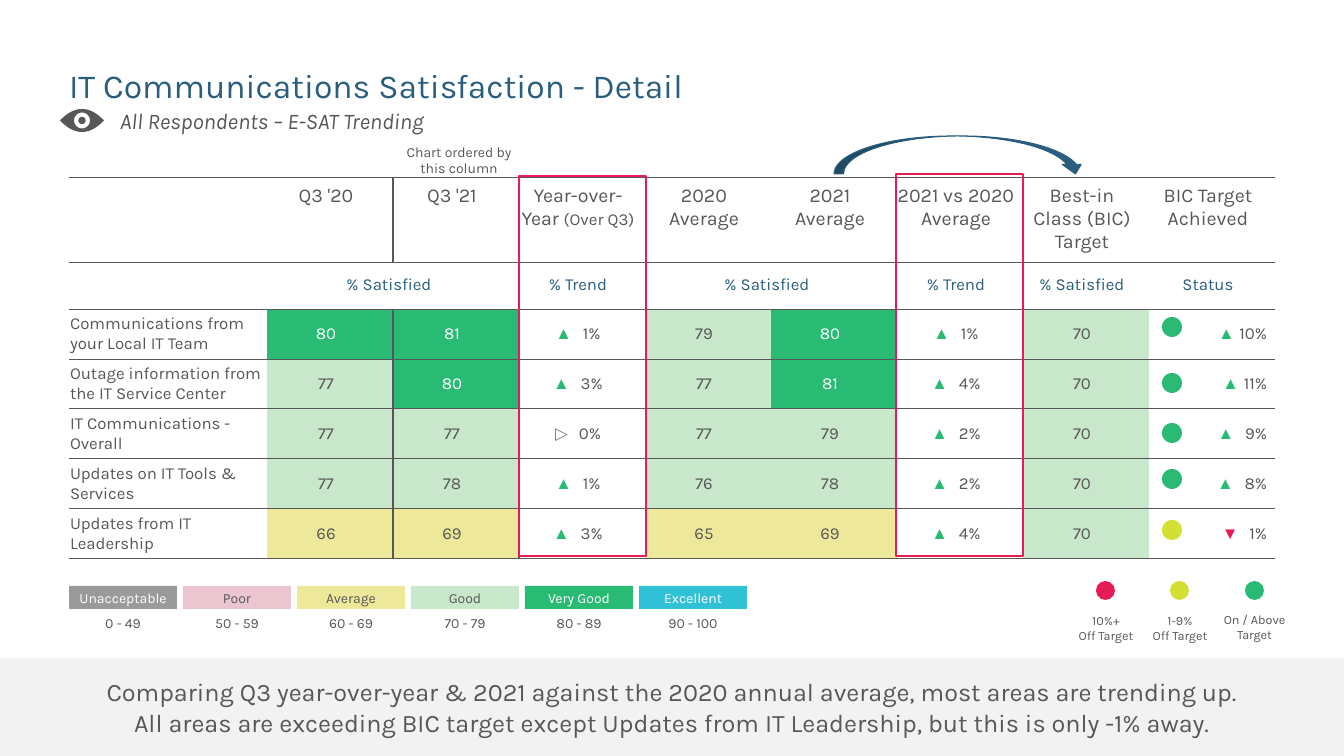
from math import cos, pi, sin

from lxml import etree
from pptx import Presentation
from pptx.dml.color import RGBColor
from pptx.enum.shapes import MSO_SHAPE as SHAPE
from pptx.enum.text import MSO_ANCHOR as ANCHOR, PP_ALIGN as ALIGN
from pptx.oxml import parse_xml
from pptx.oxml.ns import nsdecls
from pptx.util import Emu, Pt

PX = 914400 / 100.8
GREY, BLUE, WHITE = "575757", "295E7E", "FFFFFF"
GREEN, PALE_GREEN, SAND, LIME, RED = "29BA74", "C9E7CA", "EEE89A", "D4DF33", "E71C57"
MARKS = {"▲": GREEN, "▼": RED, "▷": "797979"}
NO_GRID_STYLE = "{2D5ABB26-0587-4C30-8999-92F81FD0307C}"

prs = Presentation()
prs.slide_width, prs.slide_height = Emu(round(1344 * PX)), Emu(round(756 * PX))
slide = prs.slides.add_slide(prs.slide_layouts[5])
shapes = slide.shapes


def write(frame, lines, size, color=GREY, align=ALIGN.CENTER):
    """Fill a text frame; each line is a list of run texts."""
    frame.word_wrap = True
    for number, texts in enumerate(lines):
        paragraph = frame.add_paragraph() if number else frame.paragraphs[0]
        paragraph.alignment = align
        for text in texts:
            run = paragraph.add_run()
            run.text = text
            mark = MARKS.get(text[0])
            run.font.size = Pt(size)
            run.font.name = "Arial" if mark else "Karla"
            run.font.color.rgb = RGBColor.from_string(mark or color)
            # Widen the gap after a mark so one-digit figures line up
            if mark and len(texts[-1]) == 2:
                run.font._element.set("spc", "220")


def draw(kind, box, fill=None, line=None, weight=0.75):
    shape = shapes.add_shape(kind, *[Emu(round(v * PX)) for v in box])
    shape.shadow.inherit = False
    if fill:
        shape.fill.solid()
        shape.fill.fore_color.rgb = RGBColor.from_string(fill)
    else:
        shape.fill.background()
    if line:
        shape.line.color.rgb = RGBColor.from_string(line)
        shape.line.width = Pt(weight)
    else:
        shape.line.fill.background()
    return shape


# Title
title = shapes.title
title.left, title.top, title.width, title.height = [
    Emu(round(v * PX)) for v in (69, 69, 1206, 36)]
heading = title.text_frame
heading.margin_left = heading.margin_top = heading.margin_right = heading.margin_bottom = 0
heading.vertical_anchor = ANCHOR.TOP
write(heading, [["IT Communications Satisfaction - Detail"]], 24, BLUE, ALIGN.LEFT)
heading.paragraphs[0].line_spacing = 0.9

# Satisfaction bands: name, fill, text colour, lowest and highest score
bands = [
    ("Unacceptable", "9A9A9A", WHITE, 0, 49),
    ("Poor", "EBC5D0", GREY, 50, 59),
    ("Average", SAND, GREY, 60, 69),
    ("Good", PALE_GREEN, GREY, 70, 79),
    ("Very Good", GREEN, WHITE, 80, 89),
    ("Excellent", "30C1D7", WHITE, 90, 100),
]

# Table content
headers = [
    [], [["Q3 '20"]], [["Q3 '21"]], [["Year-over-Year ", "(Over Q3)"]],
    [["2020"], ["Average"]], [["2021"], ["Average"]], [["2021 vs 2020 Average"]],
    [["Best-in Class (BIC) Target"]], [["BIC Target"], ["Achieved"]],
]
units = ["", "% Satisfied", "", "% Trend", "% Satisfied", "", "% Trend", "% Satisfied", "Status"]
ratings = [
    ("Communications from your Local IT Team", 80, 81, "▲ 1%", 79, 80, "▲ 1%", 70, "▲ 10%"),
    ("Outage information from the IT Service Center", 77, 80, "▲ 3%", 77, 81, "▲ 4%", 70, "▲ 11%"),
    ("IT Communications - Overall", 77, 77, "▷ 0%", 77, 79, "▲ 2%", 70, "▲ 9%"),
    ("Updates on IT Tools & Services", 77, 78, "▲ 1%", 76, 78, "▲ 2%", 70, "▲ 8%"),
    ("Updates from IT Leadership", 66, 69, "▲ 3%", 65, 69, "▲ 4%", 70, "▼ 1%"),
]
column_widths = [198] + [126] * 8
row_heights = [85, 44] + [50] * 5

# Table
table = shapes.add_table(7, 9, *[Emu(round(v * PX)) for v in (69, 177, 1206, 379)]).table
table.first_row = table.horz_banding = False
table._tbl.tblPr.find("{*}tableStyleId").text = NO_GRID_STYLE
for column, width in zip(table.columns, column_widths):
    column.width = Emu(round(width * PX))
for row, height in zip(table.rows, row_heights):
    row.height = Emu(round(height * PX))
for first in (1, 4):
    table.cell(1, first).merge(table.cell(1, first + 1))

for r in range(7):
    for c in range(9):
        cell = table.cell(r, c)
        cell.fill.background()
        cell.vertical_anchor = ANCHOR.MIDDLE if r else ANCHOR.TOP
        is_label = r > 1 and c == 0
        insets = (1, 1, 1, 0) if is_label else (0, 8, 8, 8)
        cell.margin_left, cell.margin_top, cell.margin_right, cell.margin_bottom = [
            Emu(round(v * PX)) for v in insets]
        if r == 0:
            write(cell.text_frame, headers[c], 14)
        elif r == 1:
            if units[c]:
                write(cell.text_frame, [[units[c]]], 12, BLUE)
        elif is_label:
            write(cell.text_frame, [[ratings[r - 2][c]]], 12, align=ALIGN.LEFT)
        elif isinstance(ratings[r - 2][c], int):
            score = ratings[r - 2][c]
            _, fill, color, _, _ = next(b for b in bands if b[3] <= score <= b[4])
            cell.fill.solid()
            cell.fill.fore_color.rgb = RGBColor.from_string(fill)
            write(cell.text_frame, [[str(score)]], 12, color)
        else:
            mark, change = ratings[r - 2][c].split()
            write(cell.text_frame, [[mark + " ", change]], 12,
                  align=ALIGN.RIGHT if c == 8 else ALIGN.CENTER)

        # Thin rules between rows, upright rules around the Q3 '21 column
        edges = {"L": r != 1 and c in (2, 3), "R": r != 1 and c in (1, 2), "T": True, "B": True}
        for position, (side, visible) in enumerate(edges.items()):
            weight = 12700 if side in "LR" else 3175
            paint = f'<a:solidFill><a:srgbClr val="{GREY}"/></a:solidFill>' if visible else "<a:noFill/>"
            cell._tc.get_or_add_tcPr().insert(position, parse_xml(
                f'<a:ln{side} {nsdecls("a")} w="{weight}">{paint}</a:ln{side}>'))
table.cell(0, 3).text_frame.paragraphs[0].runs[1].font.size = Pt(12)

# Takeaway band
takeaway = draw(SHAPE.RECTANGLE, (0, 658, 1344, 98), "F2F2F2").text_frame
takeaway.vertical_anchor = ANCHOR.MIDDLE
write(takeaway, [
    ["Comparing Q3 year-over-year & 2021 against the 2020 annual average, most areas are trending up."],
    ["All areas are exceeding BIC target except Updates from IT Leadership, but this is only -1% away."],
], 18)

# Band legend swatches; their ranges join the captions below
captions = []
for i, (name, fill, color, low, high) in enumerate(bands):
    left = 69 + 114 * i
    swatch = draw(SHAPE.RECTANGLE, (left, 586, 108, 23), fill).text_frame
    swatch.margin_left = swatch.margin_right = swatch.margin_top = swatch.margin_bottom = 0
    swatch.vertical_anchor = ANCHOR.MIDDLE
    write(swatch, [[name]], 10, color)
    captions.append(((left, 611, 108, 23), [[f"{low} - {high}"]], 10, ANCHOR.MIDDLE))

# Frames around the trend columns, and the arrow from 2021 to its target
for left, top, height in ((519, 176, 380), (896, 174, 382)):
    draw(SHAPE.RECTANGLE, (left, top, 127, height), line=RED, weight=1.5)
draw(SHAPE.CURVED_DOWN_ARROW, (834, 136, 251, 38), BLUE, BLUE)

# Status dots, then the target legend dots
for top, color in ((317, GREEN), (373, GREEN), (423, GREEN), (469, GREEN), (520, LIME)):
    draw(SHAPE.OVAL, (1162, top, 20, 20), color)
for left, color in ((1096, RED), (1170, LIME), (1245, GREEN)):
    draw(SHAPE.OVAL, (left, 581, 19, 19), color)

# Captions
captions += [
    ((395, 146, 128, 28), [["Chart ordered by this column"]], 10, ANCHOR.MIDDLE),
    ((1065, 608, 82, 37), [["10%+"], ["Off Target"]], 9, ANCHOR.TOP),
    ((1139, 608, 82, 39), [["1-9%"], ["Off Target"]], 9, ANCHOR.TOP),
    ((1210, 607, 89, 39), [["On / Above Target"]], 9, ANCHOR.TOP),
]
for box, lines, size, anchor in captions:
    caption = shapes.add_textbox(*[Emu(round(v * PX)) for v in box]).text_frame
    caption.vertical_anchor = anchor
    write(caption, lines, size)

# Subtitle with its eye icon
subtitle = shapes.add_textbox(*[Emu(round(v * PX)) for v in (110, 102, 702, 37)]).text_frame
subtitle.vertical_anchor = ANCHOR.MIDDLE
write(subtitle, [["All Respondents – E-SAT Trending"]], 16, align=ALIGN.LEFT)
subtitle.paragraphs[0].runs[0].font.italic = True

steps = [i / 12 for i in range(-12, 13)]
lids = [(22 * t, -11.5 * (1 - t * t)) for t in steps]
lids += [(-x, -y) for x, y in lids]
rings = [[(radius * cos(pi * t), radius * sin(pi * t)) for t in steps] for radius in (8, 3.6)]
outlines = [[((82 + x) * PX, (120.5 + y) * PX) for x, y in part] for part in (lids, *rings)]
builder = shapes.build_freeform(*outlines[0][0], scale=1.0)
for number, outline in enumerate(outlines):
    if number:
        builder.move_to(*outline[0])
    builder.add_line_segments(outline[1:], close=True)
eye = builder.convert_to_shape()
eye.shadow.inherit = False
eye.fill.solid()
eye.fill.fore_color.rgb = RGBColor.from_string(GREY)
eye.line.fill.background()

prs.save("out.pptx")
